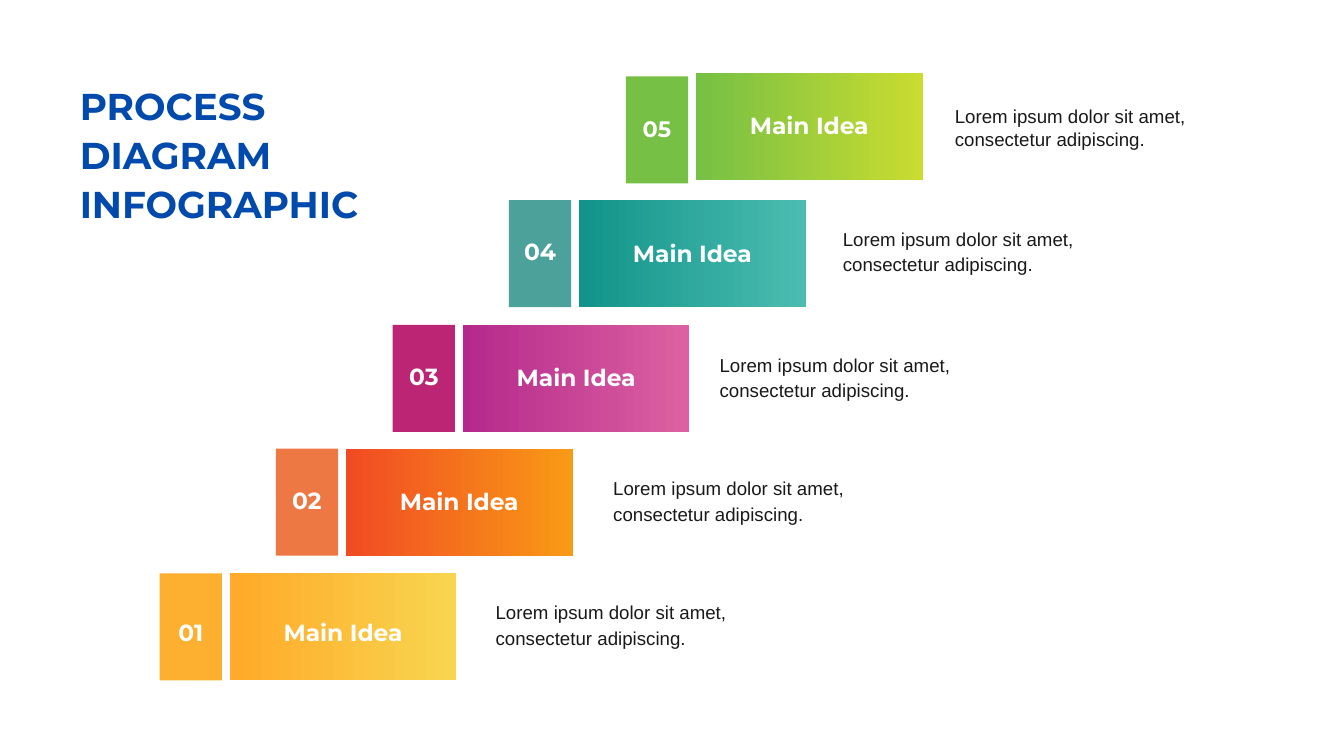
from pptx import Presentation
from pptx.dml.color import RGBColor
from pptx.enum.shapes import MSO_SHAPE
from pptx.enum.text import MSO_ANCHOR, MSO_AUTO_SIZE, PP_ALIGN
from pptx.util import Pt

PX = 9525
RECTANGLE = MSO_SHAPE.RECTANGLE
MIDDLE, TOP = MSO_ANCHOR.MIDDLE, MSO_ANCHOR.TOP
CENTER, LEFT = PP_ALIGN.CENTER, PP_ALIGN.LEFT
GROW = MSO_AUTO_SIZE.SHAPE_TO_FIT_TEXT

COLORS = {
    "white": "FFFFFF", "ink": "191919", "title": "004AAD",
    "amber": "FDB02F", "amber_from": "FFAA29", "amber_to": "F8D54F",
    "orange": "ED7843", "orange_from": "F14B23", "orange_to": "F99A16",
    "magenta": "BC2573", "magenta_from": "B4298B", "magenta_to": "DD61A2",
    "teal": "4CA19A", "teal_from": "12948A", "teal_to": "4CBCB0",
    "green": "76C045", "green_from": "76C044", "green_to": "CADC30",
}

HEADING_FONT, BODY_FONT = "Montserrat", "Arial"
NOTE = "Lorem ipsum dolor sit amet, consectetur adipiscing."

FIRST_X, FIRST_Y = 228, 819
STEP_X, STEP_Y = 166.4, 177.6
NUMBER_W, IDEA_W, BAR_H = 89, 324, 153
IDEA_OFFSET = 100

# number, hue, number size, idea shift, number lift, idea lift, note x, note y, note spacing
STEPS = [
    ("01", "amber", 25, 0, 0, 0, 708, 854, 1.15),
    ("02", "orange", 25, 0, 23, 19, 876, 677, 1.15),
    ("03", "magenta", 25, 0, 23, 19, 1028, 500, 1.15),
    ("04", "teal", 25, 0, 23, 19, 1204, 320, 1.15),
    ("05", "green", 24, -5, 19, 19, 1364, 150, 1.0),
]


def rgb(name):
    return RGBColor.from_string(COLORS[name])


def write(frame, text, *, size, color, font=HEADING_FONT, bold=True,
          align=LEFT, anchor=TOP, spacing=1.0, inset=0, lift=0):
    frame.word_wrap = True
    frame.vertical_anchor = anchor
    frame.margin_left = frame.margin_right = frame.margin_top = inset * PX
    frame.margin_bottom = (inset + lift) * PX
    paragraph = frame.paragraphs[0]
    paragraph.alignment = align
    paragraph.line_spacing = spacing
    run = paragraph.add_run()
    run.text = text
    run.font.name = font
    run.font.size = Pt(size)
    run.font.bold = bold
    run.font.color.rgb = rgb(color)


class Deck:
    def __init__(self, width, height):
        self.presentation = Presentation()
        self.presentation.slide_width = width * PX
        self.presentation.slide_height = height * PX
        self.slide = self.presentation.slides.add_slide(self.presentation.slide_layouts[6])

    def label(self, text, x, y, w, h, **style):
        frame = self.slide.shapes.add_textbox(x * PX, y * PX, w * PX, h * PX).text_frame
        write(frame, text, **style)
        frame.auto_size = GROW

    def bar(self, text, x, y, w, h, colors, **style):
        block = self.slide.shapes.add_shape(RECTANGLE, x * PX, y * PX, w * PX, h * PX)
        block.shadow.inherit = False
        block.line.fill.background()
        if len(colors) == 1:
            block.fill.solid()
            block.fill.fore_color.rgb = rgb(colors[0])
        else:
            block.fill.gradient()
            block.fill.gradient_angle = 0
            for stop, color in zip(block.fill.gradient_stops, colors):
                stop.color.rgb = rgb(color)
        write(block.text_frame, text, color="white", align=CENTER, anchor=MIDDLE,
              spacing=1.4, **style)


def main():
    deck = Deck(1920, 1080)
    deck.label("PROCESS DIAGRAM INFOGRAPHIC", 114, 112, 492, 176,
               size=40, color="title", spacing=1.1)
    for index, step in enumerate(STEPS):
        number, hue, size, shift, number_lift, idea_lift, note_x, note_y, spacing = step
        x = round(FIRST_X + index * STEP_X)
        y = round(FIRST_Y - index * STEP_Y)
        deck.bar(number, x, y, NUMBER_W, BAR_H, [hue], size=size, inset=6, lift=number_lift)
        deck.bar("Main Idea", x + IDEA_OFFSET, y + shift, IDEA_W, BAR_H,
                 [f"{hue}_from", f"{hue}_to"], size=25, inset=27, lift=idea_lift)
        deck.label(NOTE, note_x, note_y, 443, 69, size=20, color="ink",
                   font=BODY_FONT, bold=False, spacing=spacing)
    deck.presentation.save("out.pptx")


if __name__ == "__main__":
    main()
